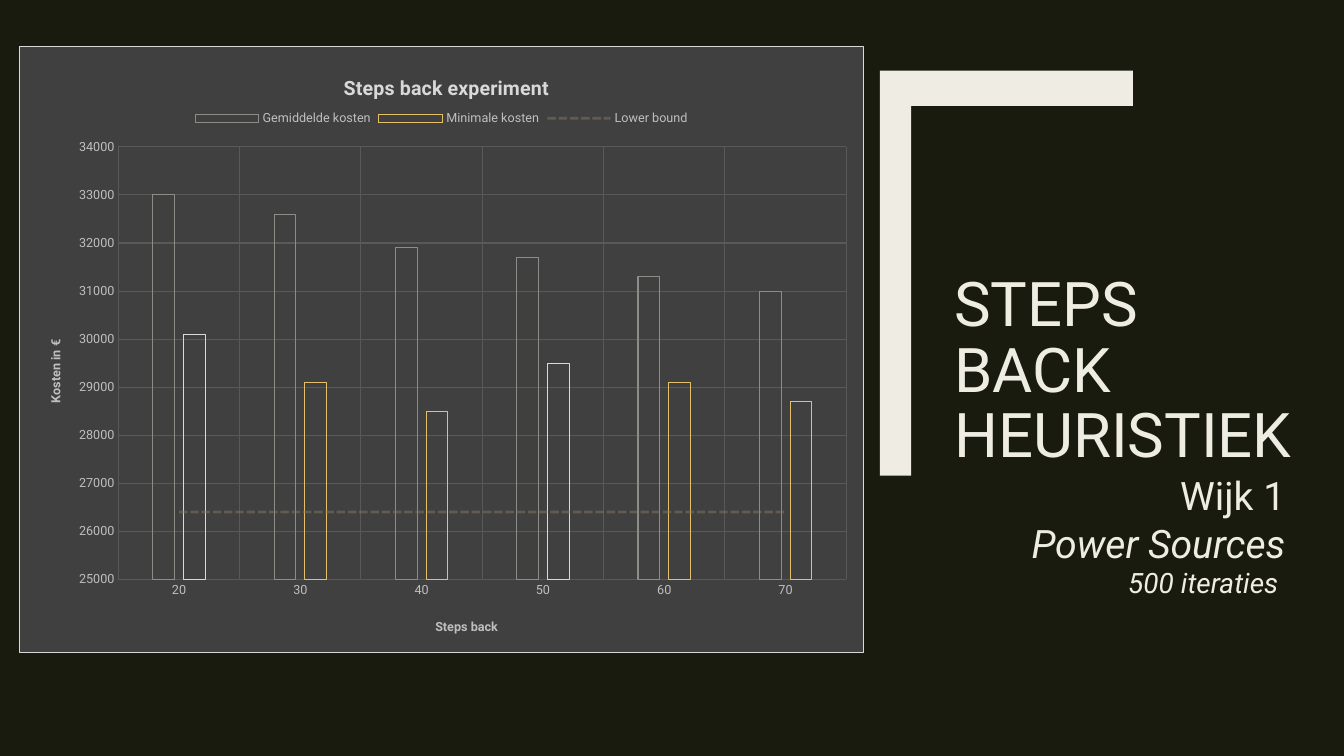
from lxml.etree import SubElement
from pptx import Presentation
from pptx.chart.data import CategoryChartData
from pptx.dml.color import RGBColor
from pptx.enum.chart import (XL_CHART_TYPE, XL_LEGEND_POSITION, XL_MARKER_STYLE,
                             XL_TICK_MARK)
from pptx.enum.dml import MSO_LINE
from pptx.enum.shapes import MSO_SHAPE
from pptx.enum.text import MSO_ANCHOR as ANCHOR, PP_ALIGN as ALIGN
from pptx.oxml import parse_xml
from pptx.oxml.ns import nsdecls, qn
from pptx.util import Pt

FONT = "Roboto"
DARK, CREAM, PANEL = "191B0E", "EFEDE3", "404040"
GRID, LABEL, PALE = "595959", "BFBFBF", "D9D9D9"
GREY, GOLD, BROWN = "8C8D86", "E6C069", "897B61"

STEPS = ["20", "30", "40", "50", "60", "70"]
COSTS = {
    "Gemiddelde kosten": [33000, 32600, 31900, 31700, 31300, 31000],
    "Minimale kosten": [30100, 29100, 28500, 29500, 29100, 28700],
    "Lower bound": [26400] * len(STEPS),
}


def color(hex_string):
    return RGBColor.from_string(hex_string)


def style_font(font, size, hex_color, bold=False, italic=False):
    font.name, font.size = FONT, Pt(size)
    font.bold, font.italic = bold, italic
    font.color.rgb = color(hex_color)


def style_line(line, hex_color, width):
    line.color.rgb = color(hex_color)
    line.width = Pt(width)


def fill_plain(shape, hex_color):
    shape.shadow.inherit = False
    shape.fill.solid()
    shape.fill.fore_color.rgb = color(hex_color)
    shape.line.fill.background()


def add_corner(slide, left, top, width, height, bar_width, bar_height):
    builder = slide.shapes.build_freeform(Pt(left), Pt(top))
    right, bottom = left + width, top + height
    points = [(right, top), (right, top + bar_height),
              (left + bar_width, top + bar_height),
              (left + bar_width, bottom), (left, bottom)]
    builder.add_line_segments([(Pt(x), Pt(y)) for x, y in points])
    fill_plain(builder.convert_to_shape(), CREAM)


def add_text_box(slide, left, top, width, height, anchor=ANCHOR.TOP):
    box = slide.shapes.add_textbox(Pt(left), Pt(top), Pt(width), Pt(height))
    box.text_frame.word_wrap = True
    box.text_frame.vertical_anchor = anchor
    return box.text_frame


def write(paragraph, text, size, align=ALIGN.LEFT, spacing=None, italic=False):
    paragraph.alignment = align
    paragraph.line_spacing = spacing
    run = paragraph.add_run()
    run.text = text
    style_font(run.font, size, CREAM, italic=italic)


def add_layout(parent, index, inner=False, **places):
    """Put a manual layout in a chart part, as fractions of the chart."""
    for old in parent.findall(qn("c:layout")):
        parent.remove(old)
    layout = parse_xml(f"<c:layout {nsdecls('c')}/>")
    parent.insert(index, layout)
    manual = SubElement(layout, qn("c:manualLayout"))
    if inner:
        SubElement(manual, qn("c:layoutTarget"), val="inner")
    for mode in ("xMode", "yMode"):
        SubElement(manual, qn(f"c:{mode}"), val="edge")
    for name, value in places.items():
        SubElement(manual, qn(f"c:{name}"), val=str(value))


def set_title(owner, title, text, size, hex_color, x, y):
    owner.has_title = True
    title = getattr(owner, title)
    run = title.text_frame.paragraphs[0].add_run()
    run.text = text
    style_font(run.font, size, hex_color, bold=True)
    add_layout(title._element, 1, x=x, y=y)


def style_axis(axis, text, x, y):
    set_title(axis, "axis_title", text, 9, LABEL, x, y)
    axis.major_tick_mark = axis.minor_tick_mark = XL_TICK_MARK.NONE
    axis.format.line.fill.background()
    axis.has_major_gridlines = True
    style_line(axis.major_gridlines.format.line, GRID, 0.75)
    style_font(axis.tick_labels.font, 9, LABEL)


def move_last_series_to_line(chart):
    """Draw the last series of the column plot as a line on the same axes."""
    bar = chart.plots[0]._element
    series = bar.findall(qn("c:ser"))[-1]
    for flag in series.findall(qn("c:invertIfNegative")):
        series.remove(flag)
    line_chart = parse_xml(
        f'<c:lineChart {nsdecls("c")}><c:grouping val="stacked"/>'
        '<c:varyColors val="0"/></c:lineChart>')
    line_chart.append(series)
    SubElement(line_chart, qn("c:marker"), val="1")
    for axis_id in bar.findall(qn("c:axId")):
        SubElement(line_chart, qn("c:axId"), val=axis_id.get("val"))
    bar.addnext(line_chart)
    return chart.plots[1].series[0]


def style_bound(series):
    series.smooth = False
    series.marker.style = XL_MARKER_STYLE.NONE
    style_line(series.format.line, BROWN, 2)
    series.format.line.dash_style = MSO_LINE.SQUARE_DOT
    for tint in series._element.iter(qn("a:srgbClr")):
        SubElement(tint, qn("a:alpha"), val="48000")


def add_cost_chart(slide, left, top, width, height):
    data = CategoryChartData()
    data.categories = STEPS
    for name, values in COSTS.items():
        data.add_series(name, values)
    chart = slide.shapes.add_chart(XL_CHART_TYPE.COLUMN_CLUSTERED, Pt(left), Pt(top),
                                   Pt(width), Pt(height), data).chart
    style_font(chart.font, 10, "FFFFFF")

    # Panel behind the plot
    chart._chartSpace.find(qn("c:chart")).addnext(parse_xml(
        f'<c:spPr {nsdecls("c", "a")}><a:solidFill><a:srgbClr val="{PANEL}"/></a:solidFill>'
        f'<a:ln w="{Pt(0.75)}"><a:solidFill><a:srgbClr val="{PALE}"/></a:solidFill></a:ln>'
        '</c:spPr>'))

    # Titles, legend and axes
    set_title(chart, "chart_title", "Steps back experiment", 14, PALE, 0.38, 0.04)
    chart.has_legend = True
    chart.legend.position = XL_LEGEND_POSITION.TOP
    chart.legend.include_in_layout = False
    style_font(chart.legend.font, 9, LABEL)
    style_axis(chart.category_axis, "Steps back", 0.49, 0.94)
    style_axis(chart.value_axis, "Kosten in €", 0.03, 0.48)
    chart.value_axis.minimum_scale = 25000
    chart.value_axis.maximum_scale = 34000
    chart.value_axis.major_unit = 1000
    add_layout(chart._chartSpace.find(".//" + qn("c:plotArea")), 0, inner=True,
               x=0.117, y=0.166, w=0.863, h=0.713)

    # Outlined columns and the dashed bound
    style_bound(move_last_series_to_line(chart))
    columns = chart.plots[0]
    columns.gap_width, columns.overlap = 315, -40
    columns.vary_by_categories = False
    for series, hex_color, line_width in zip(columns.series, (GREY, GOLD), (0.75, 0.5)):
        series.format.fill.background()
        style_line(series.format.line, hex_color, line_width)
    for step in ("20", "50"):
        point = columns.series[1].points[STEPS.index(step)]
        point.format.fill.background()
        style_line(point.format.line, PALE, 0.5)


def main():
    presentation = Presentation()
    presentation.slide_width, presentation.slide_height = Pt(960), Pt(540)
    slide = presentation.slides.add_slide(presentation.slide_layouts[6])

    # Backdrop and corner
    slide.background.fill.solid()
    slide.background.fill.fore_color.rgb = color(DARK)
    backdrop = slide.shapes.add_shape(MSO_SHAPE.RECTANGLE, 0, 0, Pt(960), Pt(540))
    fill_plain(backdrop, DARK)
    add_corner(slide, 628.5, 50.4, 180.8, 289.3, 22.4, 25.2)

    # Title and details
    title = add_text_box(slide, 674.6, 103.7, 262, 236.2, ANCHOR.BOTTOM)
    write(title.paragraphs[0], "STEPS BACK HEURISTIEK", 44, spacing=0.89)
    details = add_text_box(slide, 663.1, 333.4, 262, 99.4)
    write(details.paragraphs[0], "Wijk 1", 28, ALIGN.RIGHT)
    write(details.add_paragraph(), "Power Sources", 28, ALIGN.RIGHT, italic=True)
    write(details.add_paragraph(), "500 iteraties ", 20, ALIGN.RIGHT, italic=True)

    add_cost_chart(slide, 13.7, 32.7, 603.2, 434)
    presentation.save("out.pptx")


if __name__ == "__main__":
    main()
